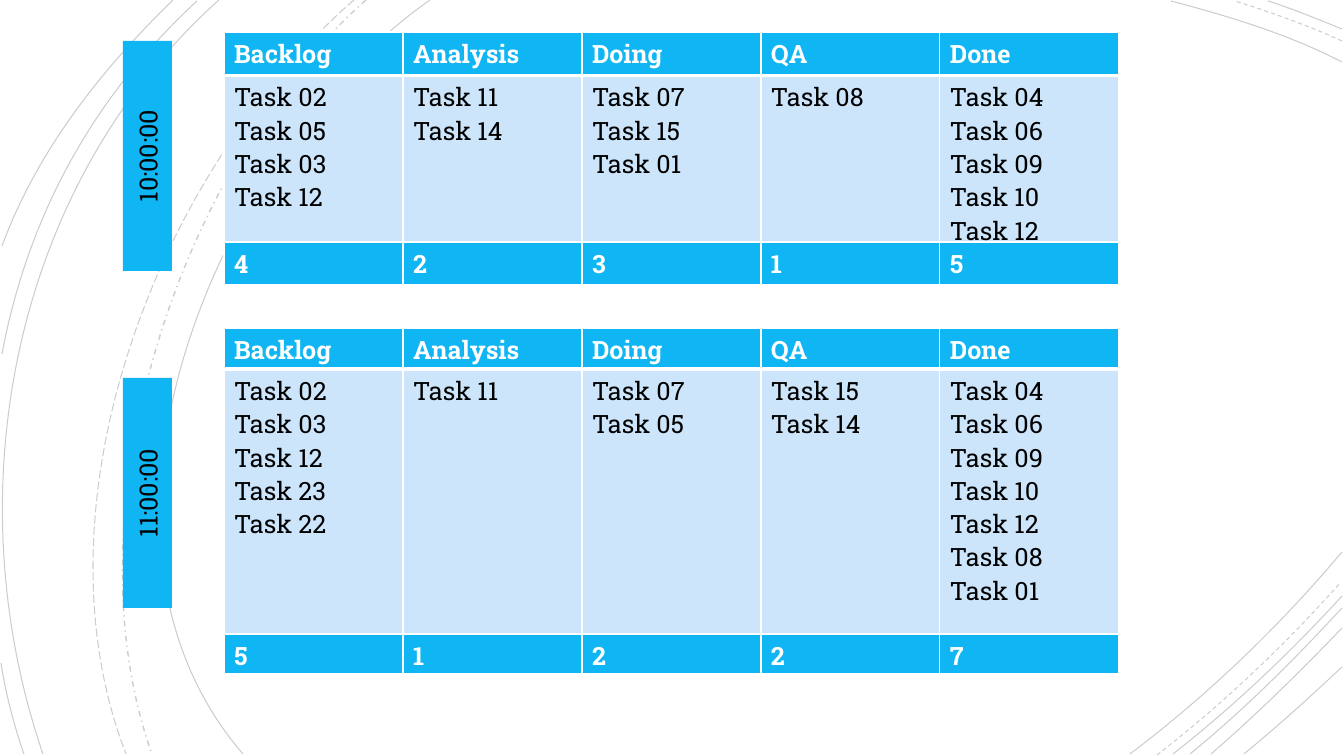
from dataclasses import dataclass
from typing import Any

from lxml.etree import Element, SubElement
from pptx import Presentation
from pptx.dml.color import RGBColor
from pptx.enum.dml import MSO_LINE
from pptx.enum.shapes import MSO_SHAPE
from pptx.enum.text import MSO_AUTO_SIZE, PP_ALIGN
from pptx.oxml.ns import qn
from pptx.slide import Slide
from pptx.util import Emu, Pt

SCALE = 914400 / 100.8
SLIDE_WIDTH, SLIDE_HEIGHT = 1344, 756
BOARD_LEFT, COLUMN_WIDTH, BAND_HEIGHT = 224, 179, 41
BAR_LEFT, BAR_WIDTH, BAR_HEIGHT = 123, 49, 230
TIME_WIDTH, TIME_HEIGHT = 232, 40
STAGES = ["Backlog", "Analysis", "Doing", "QA", "Done"]


@dataclass(frozen=True)
class Theme:
    """Colours, font and sizes of the slide."""
    accent: str = "10B6F4"
    pale: str = "CCE5FB"
    dark: str = "000000"
    light: str = "FFFFFF"
    font: str = "Roboto Slab"
    size: int = 18
    thin: int = 1
    thick: int = 3
    arc_alpha: int = 20000


@dataclass(frozen=True)
class Arc:
    """One cubic background curve: start, two controls, end."""
    points: tuple[tuple[int, int], ...]
    dash: MSO_LINE = MSO_LINE.SOLID
    width: float = 0.75


@dataclass(frozen=True)
class Board:
    """The state of the task board at one time of day."""
    time: str
    top: int
    body_height: int
    count_top: int
    bar_top: int
    tasks: tuple[str, ...]


THEME = Theme()
ARCS = [
    Arc(((430, 0), (219, 148), (53, 533), (243, 754))),
    Arc(((366, 0), (177, 167), (66, 513), (152, 754)), MSO_LINE.DASH_DOT, 1),
    Arc(((354, 0), (158, 170), (29, 503), (126, 754)), MSO_LINE.LONG_DASH),
    Arc(((219, 0), (11, 186), (-46, 494), (43, 754))),
    Arc(((197, 1), (93, 97), (28, 216), (2, 354))),
    Arc(((173, 0), (101, 70), (37, 151), (2, 246))),
    Arc(((1342, 62), (1288, 34), (1228, 16), (1171, 1))),
    Arc(((1342, 41), (1307, 25), (1270, 12), (1235, 1)), MSO_LINE.DASH),
    Arc(((1342, 29), (1317, 19), (1293, 9), (1268, 1))),
    Arc(((1, 663), (6, 695), (14, 725), (24, 754))),
    Arc(((1130, 754), (1207, 696), (1279, 627), (1342, 552))),
    Arc(((1157, 755), (1223, 704), (1285, 645), (1341, 582)), MSO_LINE.DASH),
    Arc(((1173, 754), (1233, 707), (1290, 653), (1342, 596))),
    Arc(((1190, 754), (1244, 710), (1294, 660), (1342, 608))),
    Arc(((1211, 754), (1256, 715), (1300, 672), (1342, 628))),
    Arc(((1244, 754), (1277, 727), (1309, 698), (1342, 667))),
]
BOARDS = [
    Board("10:00:00", 32, 162, 242, 41,
          ("02 05 03 12", "11 14", "07 15 01", "08", "04 06 09 10 12")),
    Board("11:00:00", 328, 265, 634, 378,
          ("02 03 12 23 22", "11", "07 05", "15 14", "04 06 09 10 12 08 01")),
]


def px(length: float) -> Emu:
    """Turn pixels into EMU."""
    return Emu(round(length * SCALE))


def apply(target: Any, values: dict[str, Any]) -> None:
    """Set each attribute named in a dict of format values."""
    for name, value in values.items():
        setattr(target, name, value)


def write(frame: Any, lines: list[str], color: str, bold: bool = False,
          align: PP_ALIGN = PP_ALIGN.LEFT) -> None:
    """Fill a text frame with one paragraph a line."""
    for index, line in enumerate(lines):
        para = frame.add_paragraph() if index else frame.paragraphs[0]
        para.alignment = align
        span = para.add_run()
        span.text = line
        apply(span.font, {"name": THEME.font, "size": Pt(THEME.size), "bold": bold})
        span.font.color.rgb = RGBColor.from_string(color)


def draw_arc(slide: Slide, arc: Arc) -> None:
    """Draw a faint curve, joining the outline points as a cubic."""
    start, *rest = arc.points
    builder = slide.shapes.build_freeform(*start, scale=SCALE)
    builder.add_line_segments(rest, close=False)
    shape = builder.convert_to_shape()
    shape.shadow.inherit = False
    shape.fill.background()
    shape.line.color.rgb = RGBColor.from_string(THEME.dark)
    apply(shape.line, {"width": Pt(arc.width), "dash_style": arc.dash})
    color = next(shape.line._ln.iter(qn("a:srgbClr")))
    SubElement(color, qn("a:alpha"), val=str(THEME.arc_alpha))
    outline = next(shape.element.iter(qn("a:path")))
    cubic = SubElement(outline, qn("a:cubicBezTo"))
    for segment in outline.findall(qn("a:lnTo")):
        cubic.append(segment[0])
        outline.remove(segment)


def set_borders(cell: Any, top: int, bottom: int) -> None:
    """Give a cell white borders, with its own top and bottom widths."""
    properties = cell._tc.get_or_add_tcPr()
    widths = {"lnL": THEME.thin, "lnR": THEME.thin, "lnT": top, "lnB": bottom}
    for index, (side, width) in enumerate(widths.items()):
        line = Element(qn(f"a:{side}"), w=str(Pt(width)))
        fill = SubElement(line, qn("a:solidFill"))
        SubElement(fill, qn("a:srgbClr"), val=THEME.light)
        properties.insert(index, line)


def draw_table(slide: Slide, top: int, band: list[str],
               tasks: tuple[str, ...] = (), body_height: int = 0) -> None:
    """Draw a bold band of cells, with a row of task lists below if given."""
    rows = [[[text] for text in band]]
    heights = [BAND_HEIGHT]
    if tasks:
        rows.append([[f"Task {number}" for number in group.split()] for group in tasks])
        heights.append(body_height)
    table = slide.shapes.add_table(
        len(rows), len(band), px(BOARD_LEFT), px(top),
        px(COLUMN_WIDTH * len(band)), px(sum(heights))).table
    table.horz_banding = False
    for column in table.columns:
        column.width = px(COLUMN_WIDTH)
    for index, (row, height) in enumerate(zip(rows, heights)):
        table.rows[index].height = px(height)
        is_band = index == 0
        for cell, lines in zip(table.rows[index].cells, row):
            cell.fill.solid()
            cell.fill.fore_color.rgb = RGBColor.from_string(
                THEME.accent if is_band else THEME.pale)
            edges = (THEME.thin, THEME.thick) if is_band else (THEME.thick, THEME.thin)
            set_borders(cell, *edges)
            write(cell.text_frame, lines, THEME.light if is_band else THEME.dark, is_band)


def draw_time(slide: Slide, board: Board) -> None:
    """Draw the side bar with the time reading upwards at its centre."""
    bar = slide.shapes.add_shape(MSO_SHAPE.RECTANGLE, px(BAR_LEFT), px(board.bar_top),
                                 px(BAR_WIDTH), px(BAR_HEIGHT))
    bar.shadow.inherit = False
    bar.fill.solid()
    bar.fill.fore_color.rgb = RGBColor.from_string(THEME.accent)
    bar.line.fill.background()
    box = slide.shapes.add_textbox(
        px(BAR_LEFT + (BAR_WIDTH - TIME_WIDTH) / 2),
        px(board.bar_top + (BAR_HEIGHT - TIME_HEIGHT) / 2),
        px(TIME_WIDTH), px(TIME_HEIGHT))
    box.rotation = 270
    apply(box.text_frame, {"word_wrap": True, "auto_size": MSO_AUTO_SIZE.SHAPE_TO_FIT_TEXT})
    write(box.text_frame, [board.time], THEME.dark, align=PP_ALIGN.CENTER)


def main() -> None:
    """Build the slide and save the deck."""
    deck = Presentation()
    apply(deck, {"slide_width": px(SLIDE_WIDTH), "slide_height": px(SLIDE_HEIGHT)})
    slide = deck.slides.add_slide(deck.slide_layouts[6])
    for arc in ARCS:
        draw_arc(slide, arc)
    for board in BOARDS:
        draw_table(slide, board.top, STAGES, board.tasks, board.body_height)
        counts = [str(len(group.split())) for group in board.tasks]
        draw_table(slide, board.count_top, counts)
        draw_time(slide, board)
    deck.save("out.pptx")


main()
